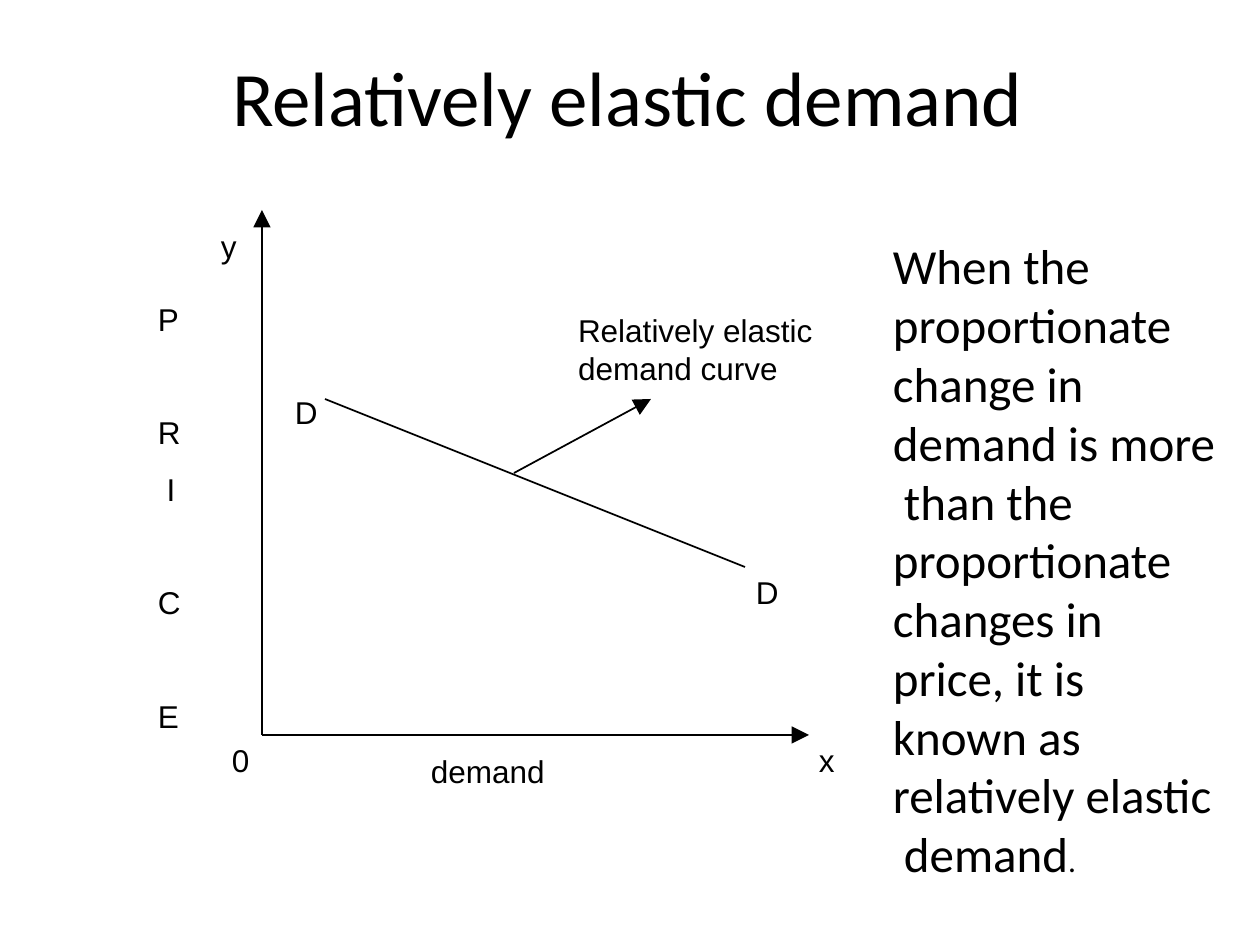
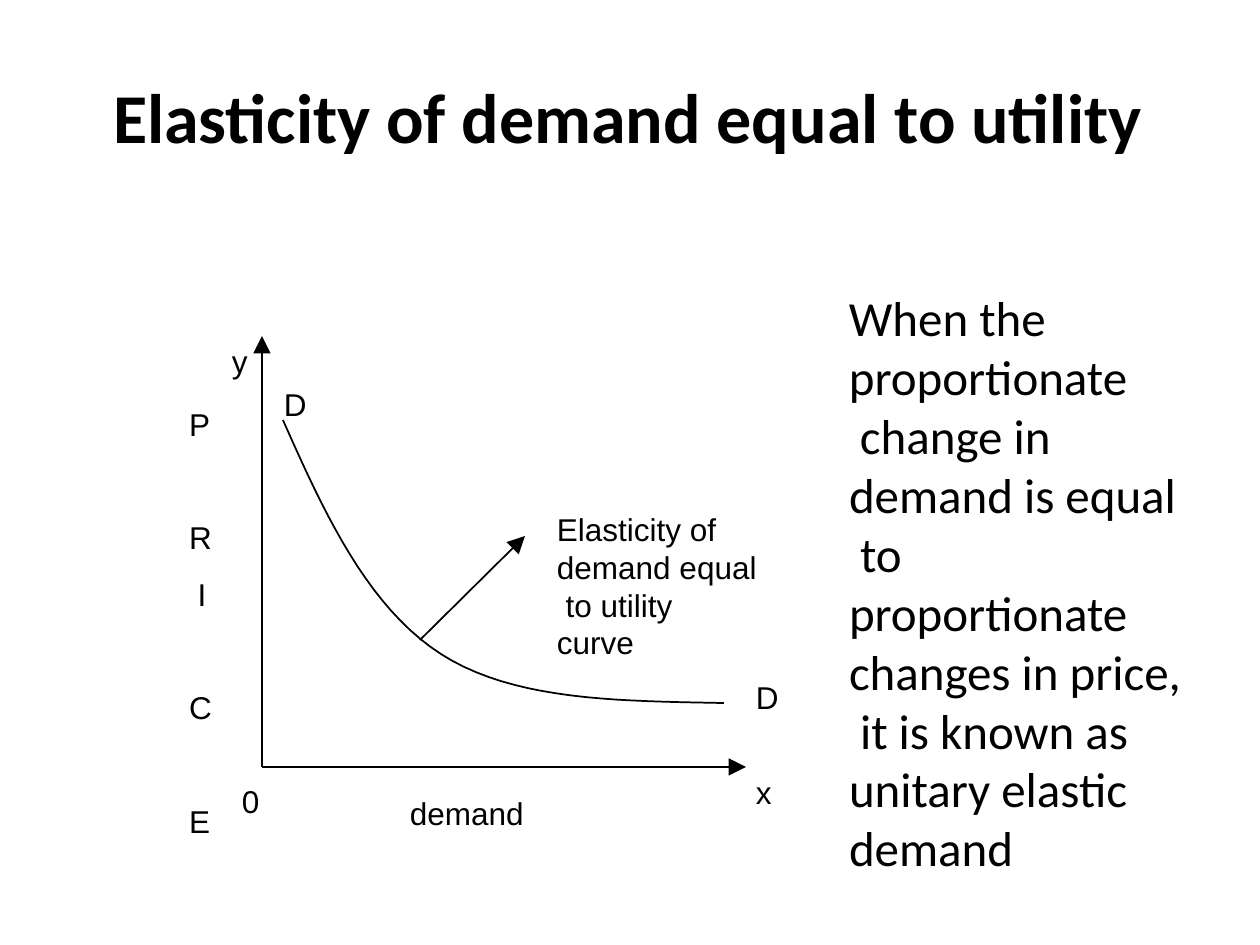
from lxml.etree import SubElement
from pptx import Presentation
from pptx.dml.color import RGBColor
from pptx.enum.shapes import MSO_CONNECTOR
from pptx.enum.text import MSO_ANCHOR, PP_ALIGN
from pptx.oxml.ns import qn
from pptx.util import Pt

# Shared style: lengths are pixels, 126 to the inch
PIXEL = 914400 / 126
COLORS = {"ink": "000000"}
INK = RGBColor.from_string(COLORS["ink"])
TITLE_FONT, LABEL_FONT = "Calibri", "Arial"
BODY_SIZE, LABEL_SIZE = 28, 18
LINE_SPACING, PRICE_SPACING = 1.2, 1.8
CURVE_STEPS = 20


def write_text(shape, box, text, font, size, bold=False, spacing=LINE_SPACING):
    """Place a text shape and give its paragraphs one style."""
    shape.left, shape.top, shape.width, shape.height = [round(v * PIXEL) for v in box]
    frame = shape.text_frame
    frame.margin_left = frame.margin_top = frame.margin_right = frame.margin_bottom = 0
    frame.word_wrap = True
    frame.vertical_anchor = MSO_ANCHOR.TOP
    frame.text = text
    for paragraph in frame.paragraphs:
        paragraph.alignment = PP_ALIGN.LEFT
        paragraph.line_spacing = Pt(spacing * size)
        paragraph.space_before = Pt(0)
        for run in paragraph.runs:
            run.font.name = font
            run.font.size = Pt(size)
            run.font.bold = bold
            run.font.color.rgb = INK
    return frame


def draw_line(slide, start, end, arrow=True):
    """Draw a straight line, with an arrowhead at its end if wanted."""
    ends = [round(v * PIXEL) for v in (*start, *end)]
    connector = slide.shapes.add_connector(MSO_CONNECTOR.STRAIGHT, *ends)
    connector.line.color.rgb = INK
    connector.line.width = Pt(1)
    if arrow:
        SubElement(connector.line._get_or_add_ln(), qn("a:tailEnd"),
                   type="triangle", w="lg", len="lg")
    SubElement(connector._element.spPr, qn("a:effectLst"))


# What differs between the two diagrams; labels are (left, top, width, text)
diagrams = [
    {
        "title": ("Relatively elastic demand", (232, 49, 820, 96), 44, False),
        "origin": (262, 735), "y_tip": 210, "x_tip": 809,
        "demand_line": [(325, 399), (745, 567)],
        "pointer": [(514, 473), (651, 399)],
        "price": (158, 281),
        "labels": [
            (578, 311, 245, "Relatively elastic\vdemand curve"),
            (431, 752, 124, "demand"), (232, 741, 28, "0"), (819, 741, 28, "x"),
            (221, 227, 28, "y"), (295, 393, 28, "D"), (756, 573, 28, "D"),
        ],
        "bodies": [(893, 236, 340, "When the\vproportionate\vchange in\vdemand is more\v than the\v"
                    "proportionate\vchanges in\vprice, it is\vknown as\vrelatively elastic\v demand")],
        "full_stop": True,
    },
    {
        "title": ("Elasticity of demand equal to utility", (113, 73, 1060, 87), 40, True),
        "origin": (262, 767), "y_tip": 336, "x_tip": 746,
        "demand_curve": [
            [(283, 420), (325, 515), (368, 607), (441, 654)],
            [(441, 654), (514, 701), (620, 701), (724, 703)],
        ],
        "pointer": [(420, 640), (525, 536)],
        "price": (189, 386),
        "labels": [
            (557, 510, 215, "Elasticity of\vdemand equal\v to utility\vcurve"),
            (232, 342, 28, "y"), (756, 773, 28, "x"), (242, 782, 28, "0"),
            (410, 794, 124, "demand"), (284, 385, 28, "D"), (756, 678, 28, "D"),
        ],
        "bodies": [
            (849, 288, 340, "When the\vproportionate\v change in"),
            (849, 465, 345, "demand is equal\v to\vproportionate\vchanges in price,\v it is known as\v"
             "unitary elastic\vdemand"),
        ],
        "full_stop": False,
    },
]

presentation = Presentation()
presentation.slide_width = round(1260 * PIXEL)
presentation.slide_height = round(945 * PIXEL)

for diagram in diagrams:
    slide = presentation.slides.add_slide(presentation.slide_layouts[5])
    title, title_box, title_size, bold = diagram["title"]
    write_text(slide.shapes.title, title_box, title, TITLE_FONT, title_size, bold)

    # Axes
    origin = diagram["origin"]
    draw_line(slide, origin, (origin[0], diagram["y_tip"]))
    draw_line(slide, origin, (diagram["x_tip"], origin[1]))

    # Demand: a straight line, or a curve of Bezier pieces
    if "demand_line" in diagram:
        draw_line(slide, *diagram["demand_line"], arrow=False)
    else:
        points = []
        for a, b, c, d in diagram["demand_curve"]:
            for step in range(CURVE_STEPS + 1):
                t = step / CURVE_STEPS
                u = 1 - t
                points.append([
                    round((u**3 * a[i] + 3 * u * u * t * b[i]
                           + 3 * u * t * t * c[i] + t**3 * d[i]) * PIXEL)
                    for i in (0, 1)])
        builder = slide.shapes.build_freeform(*points[0])
        builder.add_line_segments(points[1:], close=False)
        curve = builder.convert_to_shape()
        curve.shadow.inherit = False
        curve.fill.background()
        curve.line.color.rgb = INK
        curve.line.width = Pt(1)

    # Pointer to the name of the curve
    draw_line(slide, *diagram["pointer"])

    # Vertical axis name, with a skipped line before R, C and E
    price_box = slide.shapes.add_textbox(0, 0, 0, 0)
    frame = write_text(price_box, (*diagram["price"], 30, 454), "P\nR\n I\nC\nE",
                       LABEL_FONT, LABEL_SIZE, spacing=PRICE_SPACING)
    for index in (1, 3, 4):
        frame.paragraphs[index].space_before = Pt(PRICE_SPACING * LABEL_SIZE)

    # Labels
    for left, top, width, text in diagram["labels"]:
        height = 38 * (text.count("\v") + 1)
        write_text(slide.shapes.add_textbox(0, 0, 0, 0), (left, top, width, height),
                   text, LABEL_FONT, LABEL_SIZE)

    # Explanation
    for left, top, width, text in diagram["bodies"]:
        height = 59 * (text.count("\v") + 1)
        frame = write_text(slide.shapes.add_textbox(0, 0, 0, 0), (left, top, width, height),
                           text, TITLE_FONT, BODY_SIZE)
    if diagram["full_stop"]:
        full_stop = frame.paragraphs[0].add_run()
        full_stop.text = "."
        full_stop.font.name = TITLE_FONT
        full_stop.font.size = Pt(LABEL_SIZE)
        full_stop.font.color.rgb = INK

presentation.save("out.pptx")
